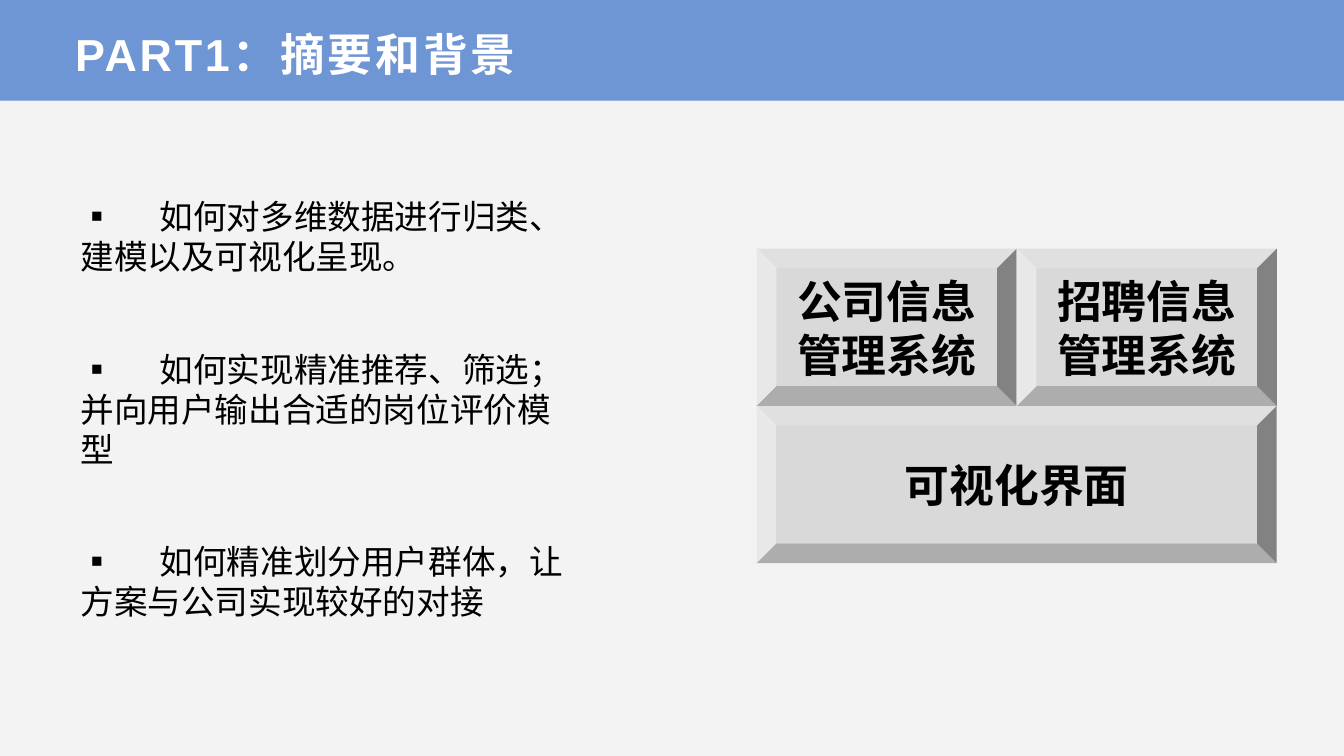
from lxml import etree
from pptx import Presentation
from pptx.dml.color import RGBColor
from pptx.enum.shapes import MSO_SHAPE
from pptx.enum.text import MSO_ANCHOR, MSO_AUTO_SIZE, PP_ALIGN
from pptx.oxml.ns import qn
from pptx.util import Inches, Pt

RECTANGLE, BEVEL = MSO_SHAPE.RECTANGLE, MSO_SHAPE.BEVEL
BOTTOM, MIDDLE, TOP = MSO_ANCHOR.BOTTOM, MSO_ANCHOR.MIDDLE, MSO_ANCHOR.TOP
LEFT, CENTER = PP_ALIGN.LEFT, PP_ALIGN.CENTER
NO_AUTOFIT = MSO_AUTO_SIZE.NONE
CJK_FONT = "Noto Sans CJK SC"
SLIDE_WIDTH = 10
SLIDE_HEIGHT = SLIDE_WIDTH * 9 / 16
QUESTIONS = [
    (1.41, 0.71, "如何对多维数据进行归类、建模以及可视化呈现。"),
    (2.55, 1.01, "如何实现精准推荐、筛选；并向用户输出合适的岗位评价模型"),
    (3.98, 0.71, "如何精准划分用户群体，让方案与公司实现较好的对接"),
]
MODULES_LEFT, MODULES_TOP = 5.63, 1.85
MODULES_WIDTH, MODULE_HEIGHT = 3.87, 1.17


def rgb(value):
    return RGBColor.from_string(value)


def write(frame, text, size, color="000000", font=CJK_FONT, bold=False,
          align=LEFT, anchor=TOP, line_pitch=None, tracking=None, tab=None):
    frame.word_wrap = True
    frame.auto_size = NO_AUTOFIT
    frame.vertical_anchor = anchor
    frame.text = text
    for paragraph in frame.paragraphs:
        paragraph.alignment = align
        if line_pitch:
            paragraph.line_spacing = Pt(line_pitch)
        if tab:
            stops = etree.SubElement(paragraph._p.get_or_add_pPr(), qn("a:tabLst"))
            etree.SubElement(stops, qn("a:tab"), pos=str(Inches(tab)), algn="l")
        for run in paragraph.runs:
            run.font.size = Pt(size)
            run.font.bold = bold
            run.font.name = font
            run.font.color.rgb = rgb(color)
            properties = run._r.get_or_add_rPr()
            etree.SubElement(properties, qn("a:ea"), typeface=CJK_FONT)
            if tracking:
                properties.set("spc", str(int(tracking * 100)))


def add_block(shapes, preset, left, top, width, height, fill):
    block = shapes.add_shape(preset, Inches(left), Inches(top),
                             Inches(width), Inches(height))
    block.shadow.inherit = False
    block.fill.solid()
    block.fill.fore_color.rgb = rgb(fill)
    block.line.fill.background()
    return block


def add_heading(slide, text):
    title = slide.shapes.title
    title.left, title.top = Inches(0.5), Inches(0.13)
    title.width, title.height = Inches(9), Inches(0.5)
    frame = title.text_frame
    frame.margin_left = frame.margin_right = Inches(0.06)
    frame.margin_top = frame.margin_bottom = Inches(0.03)
    write(frame, text, 24, color="FFFFFF", font="Arial", bold=True,
          anchor=BOTTOM, tracking=1.5)
    band = add_block(slide.shapes, RECTANGLE, 0, 0, SLIDE_WIDTH, 0.75, "6E95D4")
    title.element.addprevious(band.element)


def add_question(slide, top, height, text):
    question = slide.shapes.add_textbox(Inches(0.5), Inches(top),
                                        Inches(3.81), Inches(height))
    write(question.text_frame, f"▪\t{text}", 18, line_pitch=21.4, tab=0.59)


def add_module(group, left, top, width, text):
    module = add_block(group.shapes, BEVEL, left, top, width, MODULE_HEIGHT, "D9D9D9")
    write(module.text_frame, text, 24, bold=True, align=CENTER,
          anchor=MIDDLE, line_pitch=28.9)


def main():
    presentation = Presentation()
    presentation.slide_width = Inches(SLIDE_WIDTH)
    presentation.slide_height = Inches(SLIDE_HEIGHT)
    slide = presentation.slides.add_slide(presentation.slide_layouts[5])
    slide.background.fill.solid()
    slide.background.fill.fore_color.rgb = rgb("F3F3F4")

    add_heading(slide, "PART1：摘要和背景")
    for top, height, text in QUESTIONS:
        add_question(slide, top, height, text)

    modules = slide.shapes.add_group_shape()
    add_module(modules, MODULES_LEFT, MODULES_TOP + MODULE_HEIGHT,
               MODULES_WIDTH, "可视化界面")
    half = MODULES_WIDTH / 2
    for column, subject in enumerate(["公司信息", "招聘信息"]):
        add_module(modules, MODULES_LEFT + column * half, MODULES_TOP,
                   half, f"{subject}\n管理系统")

    presentation.save("out.pptx")


if __name__ == "__main__":
    main()
